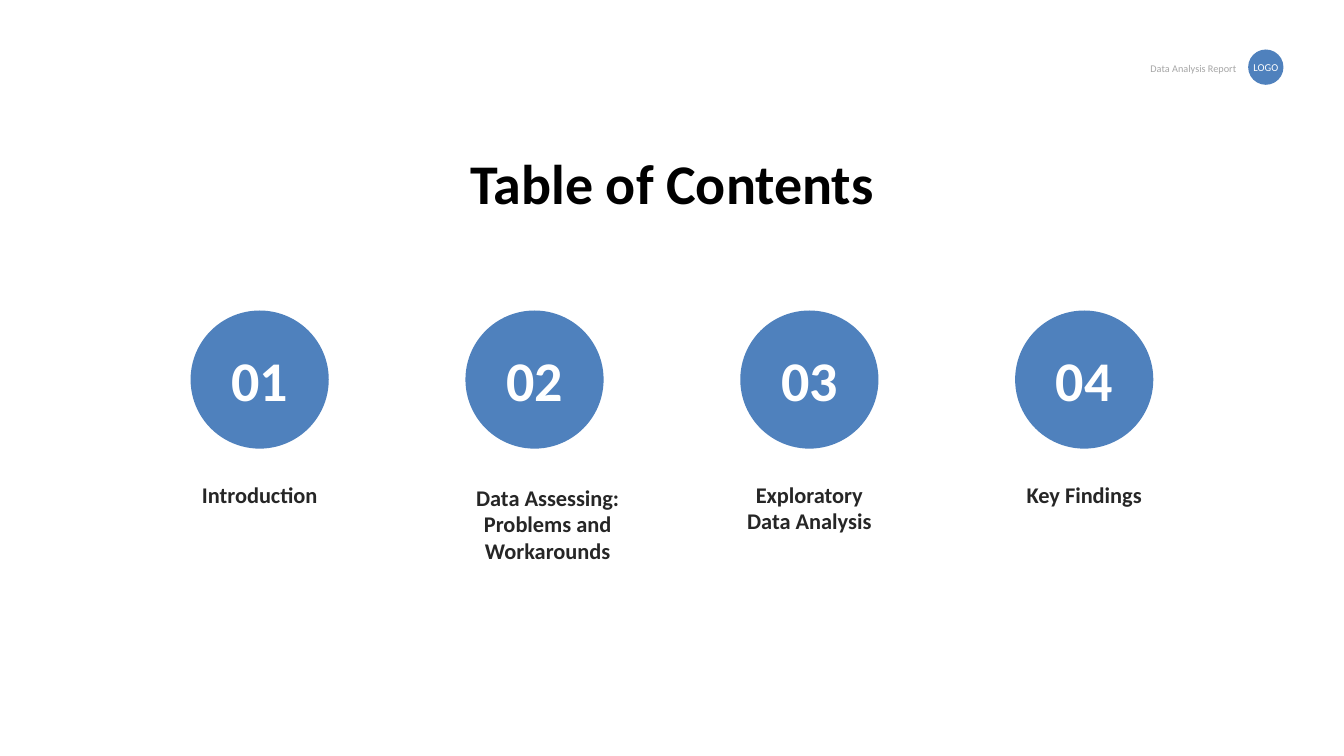
"""Build a table of contents slide with four numbered topics."""
from dataclasses import dataclass

from pptx import Presentation
from pptx.dml.color import RGBColor
from pptx.enum.shapes import MSO_SHAPE
from pptx.enum.text import MSO_ANCHOR, MSO_AUTO_SIZE, PP_ALIGN
from pptx.shapes.autoshape import Shape
from pptx.slide import Slide
from pptx.util import Emu, Inches, Pt

OVAL = MSO_SHAPE.OVAL
TOP, MIDDLE = MSO_ANCHOR.TOP, MSO_ANCHOR.MIDDLE
CENTER, RIGHT = PP_ALIGN.CENTER, PP_ALIGN.RIGHT
FIXED = MSO_AUTO_SIZE.NONE
WIDE, HIGH = Inches(13.33), Inches(7.5)


@dataclass(frozen=True)
class Style:
    size: float
    color: str
    bold: bool = True
    align: PP_ALIGN = CENTER
    anchor: MSO_ANCHOR = TOP


@dataclass(frozen=True)
class Theme:
    font: str = "Calibri"
    blue: str = "4F81BD"
    title: Style = Style(40, "000000")
    number: Style = Style(40, "FFFFFF", anchor=MIDDLE)
    label: Style = Style(16, "262626")
    header: Style = Style(7.3, "A6A6A6", False, RIGHT)
    badge: Style = Style(7.5, "FFFFFF", False, anchor=MIDDLE)


@dataclass(frozen=True)
class Topic:
    text: str
    lines: int
    width: float = 11.03
    shift: float = 0
    drop: float = 0


THEME = Theme()
TOPICS = (
    Topic("Introduction", 1),
    Topic("Data Assessing: Problems and Workarounds", 3, 12.23, 0.98, 0.4),
    Topic("Exploratory Data Analysis", 2),
    Topic("Key Findings", 1),
)
LEFT, PITCH, DISC = 14.18, 20.45, 10.28
DISC_TOP, LABEL_TOP = 41.07, 62.93
PAD, LINE = 1.33, 3.6


def across(share: float) -> Emu:
    """Turn a percentage of the slide width into a length."""
    return Emu(round(WIDE * share / 100))


def down(share: float) -> Emu:
    """Turn a percentage of the slide height into a length."""
    return Emu(round(HIGH * share / 100))


def write(shape: Shape, text: str, style: Style) -> None:
    """Put styled text into a shape."""
    frame = shape.text_frame
    frame.text = text
    frame.word_wrap = True
    frame.auto_size = FIXED
    frame.vertical_anchor = style.anchor
    for para in frame.paragraphs:
        para.alignment = style.align
        for run in para.runs:
            run.font.name = THEME.font
            run.font.size = Pt(style.size)
            run.font.bold = style.bold
            run.font.color.rgb = RGBColor.from_string(style.color)


def add_text(slide: Slide, text: str, style: Style, left: float, top: float,
             width: float, height: float) -> None:
    """Add a text box placed by shares of the slide."""
    box = slide.shapes.add_textbox(
        across(left), down(top), across(width), down(height))
    write(box, text, style)


def add_disc(slide: Slide, text: str, style: Style, left: float, top: float,
             width: float) -> Shape:
    """Add a blue circle with centred text."""
    side = across(width)
    disc = slide.shapes.add_shape(OVAL, across(left), down(top), side, side)
    disc.shadow.inherit = False
    disc.fill.solid()
    disc.fill.fore_color.rgb = RGBColor.from_string(THEME.blue)
    disc.line.fill.background()
    write(disc, text, style)
    return disc


def add_header(slide: Slide) -> None:
    """Add the report name and its round badge."""
    add_text(slide, "Data Analysis Report", THEME.header,
             81.32, 7.6, 11.4, 2.93)
    frame = add_disc(slide, "LOGO", THEME.badge, 92.87, 6.55, 2.63).text_frame
    frame.word_wrap = False
    frame.margin_left = frame.margin_right = 0
    frame.margin_top = frame.margin_bottom = 0


def add_title(slide: Slide, text: str) -> None:
    """Place and fill the title placeholder."""
    title = slide.shapes.title
    title.left, title.top = across(25), down(18.93)
    title.width, title.height = across(50), down(10.27)
    write(title, text, THEME.title)


def add_topic(slide: Slide, index: int, topic: Topic) -> None:
    """Add one numbered circle with its label below."""
    left = LEFT + index * PITCH
    add_disc(slide, f"{index + 1:02d}", THEME.number, left, DISC_TOP, DISC)
    start = left + (DISC - topic.width) / 2 + topic.shift
    add_text(slide, topic.text, THEME.label, start, LABEL_TOP + topic.drop,
             topic.width, PAD + LINE * topic.lines)


def main() -> None:
    """Build and save the slide."""
    deck = Presentation()
    deck.slide_width, deck.slide_height = WIDE, HIGH
    slide = deck.slides.add_slide(deck.slide_layouts.get_by_name("Title Only"))
    add_header(slide)
    for index, topic in enumerate(TOPICS):
        add_topic(slide, index, topic)
    add_title(slide, "Table of Contents")
    deck.save("out.pptx")


if __name__ == "__main__":
    main()
